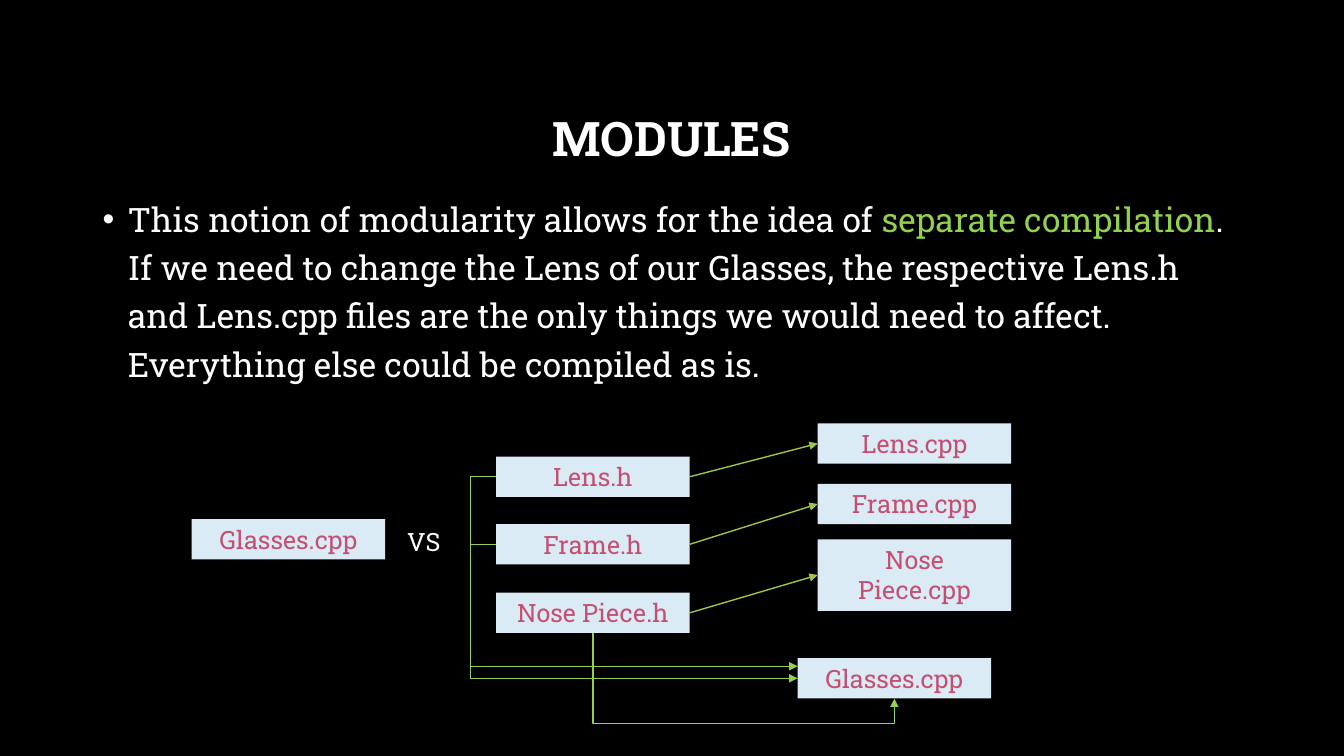
from lxml import etree
from pptx import Presentation
from pptx.dml.color import RGBColor
from pptx.enum.shapes import MSO_CONNECTOR as LINE, MSO_SHAPE as SHAPE
from pptx.enum.text import MSO_ANCHOR as ANCHOR, PP_ALIGN as ALIGN
from pptx.oxml.ns import qn
from pptx.util import Inches, Pt

FONT = "Roboto Slab"
COLORS = {
    "background": "000000",
    "text": "FFFFFF",
    "highlight": "92D050",
    "box": "DBEBF5",
    "file": "C54F71",
    "pair": "9EC544",
}
BOX_W, BOX_H = 1.92, 0.4
HEADER_X, SOURCE_X = 4.92, 8.11
MAIN_X, MAIN_Y = 7.91, 6.53
DETOUR = 0.25  # how far the bent arrows swing out past the boxes


def color(name):
    return RGBColor.from_string(COLORS[name])


def write(p, text, size=18, fill="text", bold=False):
    r = p.add_run()
    r.text = text
    r.font.name = FONT
    r.font.size = Pt(size)
    r.font.bold = bold
    r.font.color.rgb = color(fill)


def add_text(slide, x, y, w, h, runs, align=ALIGN.LEFT, anchor=ANCHOR.TOP,
             spacing=1.0, **fmt):
    """Add a text box holding one paragraph of (text, colour) runs."""
    tf = slide.shapes.add_textbox(*map(Inches, (x, y, w, h))).text_frame
    tf.word_wrap = True
    tf.vertical_anchor = anchor
    p = tf.paragraphs[0]
    p.alignment = align
    p.line_spacing = spacing
    for text, fill in runs:
        write(p, text, fill=fill, **fmt)
    return p


def add_bullet(p, indent):
    p.space_before = Pt(10)
    pPr = p._p.get_or_add_pPr()
    pPr.set("marL", str(Inches(indent)))
    pPr.set("indent", str(-Inches(indent)))
    etree.SubElement(pPr, qn("a:buFont"), typeface="Arial")
    etree.SubElement(pPr, qn("a:buChar"), char="•")


def add_file(slide, name, x, y, h=BOX_H):
    sp = slide.shapes.add_shape(SHAPE.RECTANGLE, *map(Inches, (x, y, BOX_W, h)))
    sp.shadow.inherit = False
    sp.fill.solid()
    sp.fill.fore_color.rgb = color("box")
    sp.line.fill.background()
    tf = sp.text_frame
    tf.word_wrap = True
    tf.vertical_anchor = ANCHOR.TOP
    p = tf.paragraphs[0]
    p.alignment = ALIGN.CENTER
    write(p, name, fill="file")
    return sp


def add_arrow(slide, kind, start, end, fill):
    c = slide.shapes.add_connector(kind, *map(Inches, (*start, *end)))
    c.line.color.rgb = color(fill)
    c.line.width = Pt(1)
    etree.SubElement(c.line._get_or_add_ln(), qn("a:tailEnd"), type="triangle")
    etree.SubElement(c._element.spPr, qn("a:effectLst"))
    return c


def set_bend(c, ratio):
    """Place the middle segment of an elbow at a share of its width."""
    guides = c._element.spPr.find(qn("a:prstGeom")).get_or_add_avLst()
    etree.SubElement(guides, qn("a:gd"), name="adj1",
                     fmla=f"val {round(ratio * 100000)}")


def add_left_elbow(slide, start, end):
    c = add_arrow(slide, LINE.ELBOW, start, end, "highlight")
    set_bend(c, -DETOUR / (end[0] - start[0]))


def add_bottom_elbow(slide, start, end):
    """Run below both ends: a mirrored elbow turned by 270 degrees."""
    across, down = end[0] - start[0], end[1] - start[1]
    mid_x, mid_y = (start[0] + end[0]) / 2, (start[1] + end[1]) / 2
    c = add_arrow(slide, LINE.ELBOW,
                  (mid_x + down / 2, mid_y - across / 2),
                  (mid_x - down / 2, mid_y + across / 2), "highlight")
    c._element.spPr.find(qn("a:xfrm")).set("rot", str(270 * 60000))
    set_bend(c, 1 + DETOUR / down)


def main():
    prs = Presentation()
    prs.slide_width, prs.slide_height = Inches(13.33), Inches(7.5)
    slide = prs.slides.add_slide(prs.slide_layouts[6])
    slide.background.fill.solid()
    slide.background.fill.fore_color.rgb = color("background")

    add_text(slide, 1, 0.67, 11.32, 1.45, [("MODULES", "text")], ALIGN.CENTER,
             ANCHOR.MIDDLE, spacing=0.9, size=34, bold=True)
    body = add_text(slide, 0.92, 1.84, 11.32, 4.04, [
        ("This notion of modularity allows for the idea of ", "text"),
        ("separate compilation", "highlight"),
        (". If we need to change the Lens of our Glasses, the respective Lens.h "
         "and Lens.cpp files are the only things we would need to affect. "
         "Everything else could be compiled as is.", "text"),
    ], spacing=1.2, size=24)
    add_bullet(body, 0.25)

    add_file(slide, "Glasses.cpp", 1.9, 5.15)
    add_text(slide, 3.94, 5.17, 0.54, 0.4, [("VS", "text")])
    add_file(slide, "Glasses.cpp", MAIN_X, MAIN_Y)

    parts = [("Lens", 4.53, 4.2, BOX_H),
             ("Frame", 5.2, 4.8, BOX_H),
             ("Nose Piece", 5.88, 5.35, 0.71)]
    for part, header_y, source_y, source_h in parts:
        header = add_file(slide, f"{part}.h", HEADER_X, header_y)
        source = add_file(slide, f"{part}.cpp", SOURCE_X, source_y, source_h)
        arrow = add_arrow(slide, LINE.STRAIGHT, (HEADER_X, header_y),
                          (SOURCE_X, source_y), "pair")
        arrow.begin_connect(header, 3)
        arrow.end_connect(source, 1)

    lens_y, frame_y, nose_y = (y + BOX_H / 2 for _, y, _, _ in parts)
    add_left_elbow(slide, (HEADER_X, lens_y), (MAIN_X, 6.61))
    add_left_elbow(slide, (HEADER_X, frame_y), (MAIN_X, MAIN_Y + BOX_H / 2))
    add_bottom_elbow(slide, (HEADER_X + BOX_W / 2, nose_y + BOX_H / 2),
                     (MAIN_X + BOX_W / 2, MAIN_Y + BOX_H))

    prs.save("out.pptx")


if __name__ == "__main__":
    main()
